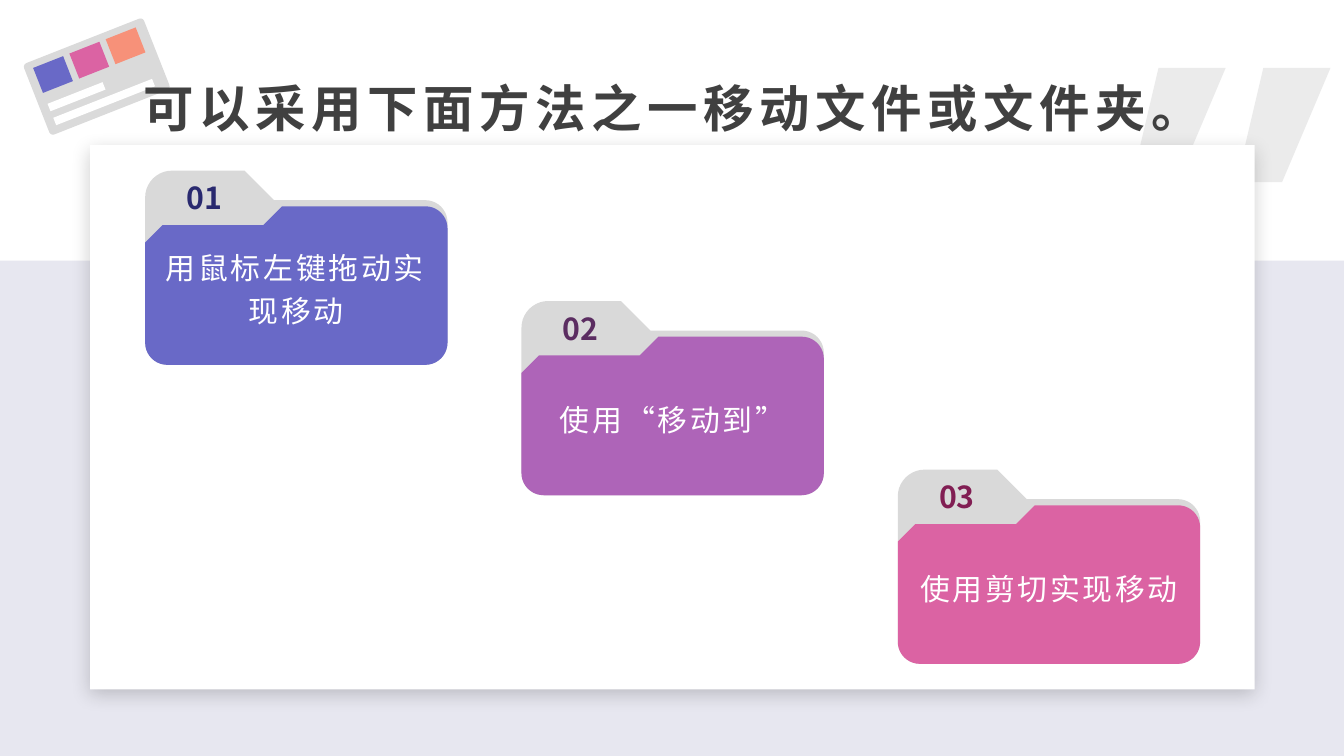
from math import cos, pi, sin

from lxml.etree import SubElement
from pptx import Presentation
from pptx.dml.color import RGBColor
from pptx.enum.shapes import MSO_SHAPE as Preset
from pptx.enum.text import MSO_ANCHOR as Anchor, MSO_AUTO_SIZE as AutoSize, PP_ALIGN as Align
from pptx.oxml.ns import qn
from pptx.util import Inches, Pt

# The slide is a 16:9 grid of 100 columns; rows have the same pitch.
WIDTH = Inches(10)
HEIGHT = WIDTH * 9 // 16
UNIT = WIDTH / 100
ROWS = HEIGHT / UNIT
FONT = "Noto Sans CJK SC"
COLORS = {
    "white": "FFFFFF", "band": "E7E7F0", "quote": "BFBFBF", "shadow": "0D0D0D",
    "icon": "DADADA", "folder": "D9D9D9", "title": "404040",
    "blue": "6969C7", "purple": "AE64B8", "pink": "DB63A3", "coral": "F79179",
    "dark blue": "29296F", "dark purple": "5B2D61", "dark pink": "811E53",
}
FOLDER_WIDTH, FOLDER_HEIGHT, FOLDER_STEP = 22.5, 14.45, 28
FOLDERS = [
    ("01", "用鼠标左键拖动实现移动", "blue", 12.7),
    ("02", "使用“移动到”", "purple", 22.4),
    ("03", "使用剪切实现移动", "pink", 34.95),
]


def grid(*lengths):
    return [round(length * UNIT) for length in lengths]


def rgb(name):
    return RGBColor.from_string(COLORS[name])


def paint(shape, color):
    shape.shadow.inherit = False
    shape.fill.solid()
    shape.fill.fore_color.rgb = rgb(color)
    shape.line.fill.background()
    return shape


def add_block(shapes, box, color, preset=Preset.RECTANGLE, rotation=0):
    block = paint(shapes.add_shape(preset, *grid(*box)), color)
    block.rotation = rotation
    return block


def add_outline(shapes, points, color):
    start, *rest = [grid(x, y) for x, y in points]
    builder = shapes.build_freeform(*start)
    builder.add_line_segments(rest, close=True)
    return paint(builder.convert_to_shape(), color)


def corner(x, y, radius, start, steps=10):
    """Points of a clockwise quarter circle around (x, y), from an angle in quarter turns."""
    angles = [(start + i / steps) * pi / 2 for i in range(steps + 1)]
    return [(x + radius * cos(a), y + radius * sin(a)) for a in angles]


def write(shape, text, size, color, bold=False, spacing=0, leading=1.0,
          margins=(1, 0.5), anchor=Anchor.MIDDLE):
    frame = shape.text_frame
    frame.word_wrap = True
    frame.auto_size = AutoSize.NONE
    frame.vertical_anchor = anchor
    frame.margin_left, frame.margin_top = grid(*margins)
    frame.margin_right, frame.margin_bottom = grid(*margins)
    frame.text = text
    paragraph = frame.paragraphs[0]
    paragraph.alignment = Align.CENTER
    paragraph.line_spacing = leading
    font = paragraph.runs[0].font
    font.name, font.size, font.bold = FONT, Pt(size), bold
    font.color.rgb = rgb(color)
    properties = paragraph.runs[0].font._element
    SubElement(properties, qn("a:ea"), typeface=FONT)
    if spacing:
        properties.set("spc", str(round(spacing * 100)))


def set_alpha(shape, percent):
    color = shape.element.spPr.find(".//" + qn("a:srgbClr"))
    SubElement(color, qn("a:alpha"), val=str(percent * 1000))


def add_card_shadow(card):
    effects = card.element.spPr.find(qn("a:effectLst"))
    shadow = SubElement(effects, qn("a:outerShdw"), blurRad=str(Pt(10)),
                        dist=str(Pt(3)), dir="5400000", rotWithShape="0")
    color = SubElement(shadow, qn("a:srgbClr"), val=COLORS["shadow"])
    SubElement(color, qn("a:alpha"), val="20000")


def add_icon(slide):
    tilt = -21.5
    shapes = slide.shapes.add_group_shape().shapes
    page = add_block(shapes, (2.4, 2.85, 9.6, 5.7), "icon", Preset.ROUNDED_RECTANGLE, tilt)
    page.adjustments[0] = 0.05
    add_block(shapes, (3.8, 7.3, 7.9, 0.6), "white", rotation=tilt)
    add_block(shapes, (3.5, 6.9, 4.4, 0.6), "white", rotation=tilt)
    for i, color in enumerate(("blue", "pink", "coral")):
        add_block(shapes, (2.75 + 2.7 * i, 4.55 - 1.07 * i, 2.4, 2), color, rotation=tilt)


def add_quote_marks(slide):
    for left in (92, 84.2):
        points = [(left, 13.55), (left + 2, 5.05), (left + 7, 5.05), (left + 3.4, 13.55)]
        set_alpha(add_outline(slide.shapes, points, "quote"), 30)


def add_folder(slide, left, top, number, label, color):
    shapes = slide.shapes
    right, bottom = left + FOLDER_WIDTH, top + FOLDER_HEIGHT
    radius = 1.65
    base = (corner(right - radius, bottom - radius, radius, 0)
            + corner(left + radius, bottom - radius, radius, 1))
    back = (corner(left + 2, top + 2, 2, 2)
            + [(left + 7.4, top), (left + 9.6, top + 2.2)]
            + corner(right - radius, top + 2.2 + radius, radius, 3))
    front = ([(left, top + 5.35), (left + 1.3, top + 4.05),
              (left + 8.8, top + 4.05), (left + 10.2, top + 2.65)]
             + corner(right - radius, top + 2.65 + radius, radius, 3))
    add_outline(shapes, back + base, "folder")
    add_outline(shapes, front + base, color)
    label_box = shapes.add_textbox(*grid(left + 0.55, top + 4.8, 21.4, 7.5))
    write(label_box, label, 16, "white", spacing=1.5, leading=1.2, margins=(0.7, 0.4))
    number_box = shapes.add_textbox(*grid(left, top + 0.05, 8.8, 3.9))
    write(number_box, number, 16.2, "dark " + color, bold=True)


def add_title(slide, text):
    title = slide.shapes.title
    title.left, title.top, title.width, title.height = grid(7.6, 5, 84.9, 5.2)
    write(title, text, 27, "title", bold=True, spacing=3, leading=1.1,
          margins=(0.6, 0.3), anchor=Anchor.TOP)
    # The title lies in front of the icon and the quote marks.
    title.element.getparent().append(title.element)


def main():
    deck = Presentation()
    deck.slide_width, deck.slide_height = WIDTH, HEIGHT
    slide = deck.slides.add_slide(deck.slide_layouts[5])
    add_icon(slide)
    add_block(slide.shapes, (0, 19.4, 100, ROWS - 19.4), "band")
    add_quote_marks(slide)
    add_card_shadow(add_block(slide.shapes, (6.7, 10.8, 86.65, 40.5), "white"))
    for i, (number, label, color, top) in enumerate(FOLDERS):
        add_folder(slide, 10.8 + FOLDER_STEP * i, top, number, label, color)
    add_title(slide, "可以采用下面方法之一移动文件或文件夹。")
    deck.save("out.pptx")


if __name__ == "__main__":
    main()
